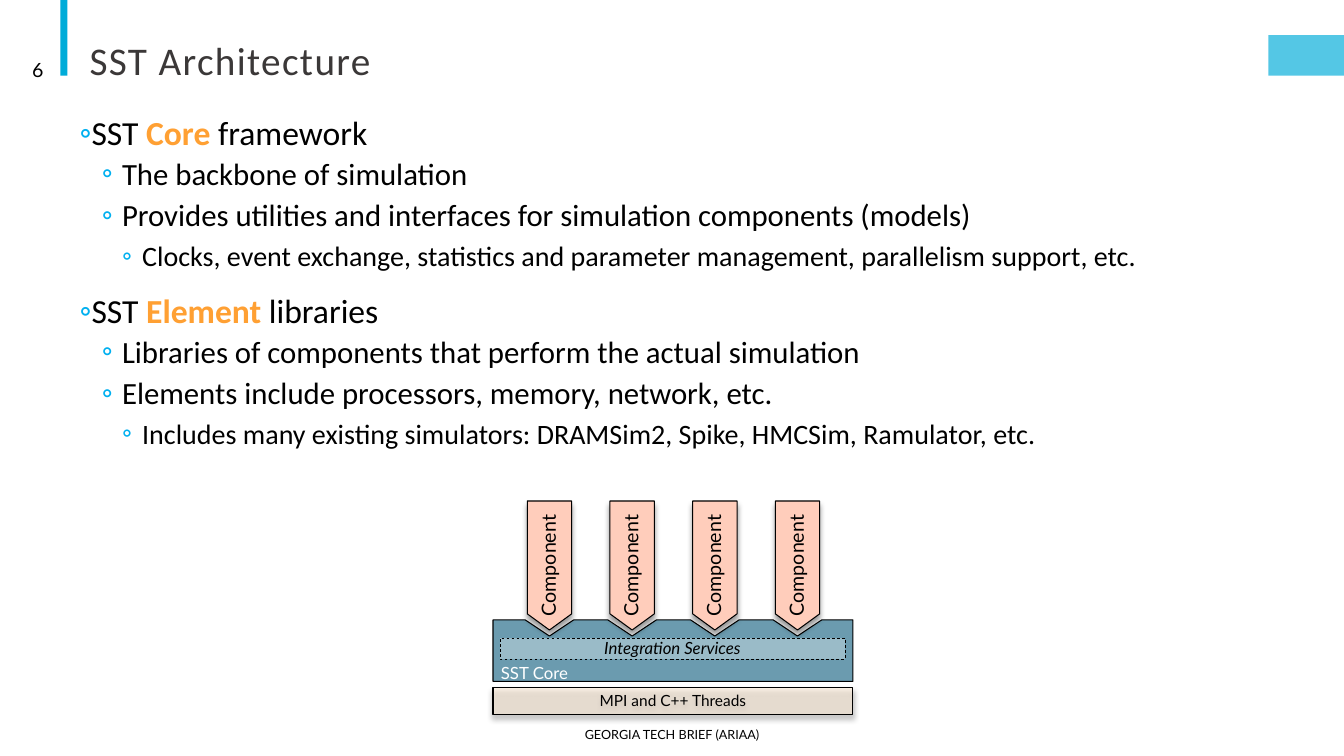
"""Build the SST Architecture slide."""
import lxml.etree
import pptx
import pptx.dml.color
import pptx.enum.dml
import pptx.enum.shapes
import pptx.enum.text
import pptx.oxml.ns
import pptx.util

Inches = pptx.util.Inches
Pt = pptx.util.Pt
RGBColor = pptx.dml.color.RGBColor
ALIGN = pptx.enum.text.PP_ALIGN
ANCHOR = pptx.enum.text.MSO_ANCHOR
RECTANGLE = pptx.enum.shapes.MSO_SHAPE.RECTANGLE
DASH = pptx.enum.dml.MSO_LINE.DASH
qn = pptx.oxml.ns.qn

BLACK = RGBColor(0x00, 0x00, 0x00)
WHITE = RGBColor(0xFF, 0xFF, 0xFF)
CHARCOAL = RGBColor(0x3B, 0x38, 0x38)
CYAN = RGBColor(0x00, 0xAC, 0xD9)
BULLET_BLUE = RGBColor(0x00, 0xB0, 0xF0)
ORANGE = RGBColor(0xFF, 0xA0, 0x33)
NAVY = RGBColor(0x00, 0x53, 0x76)
CREAM = RGBColor(0xFF, 0xEC, 0xD6)
PEACH = RGBColor(0xFF, 0xCD, 0xBB)

CORE_LEFT, CORE_TOP, CORE_RIGHT, CORE_BOTTOM = 4.89, 6.15, 8.46, 6.76
COMPONENT_CENTRES = [5.45 + 0.82 * index for index in range(4)]

LEVELS = [
    {"size": 24, "indent": 0.1, "before": 12, "after": 2},
    {"size": 22, "indent": 0.42, "before": 2, "after": 4},
    {"size": 20, "indent": 0.62, "before": 2, "after": 4},
]
OUTLINE = [
    (0, ["SST ", "Core", " framework"]),
    (1, ["The backbone of simulation"]),
    (1, ["Provides utilities and interfaces for simulation components (models)"]),
    (2, ["Clocks, event exchange, statistics and parameter management, parallelism support, etc."]),
    (0, ["SST ", "Element", " libraries"]),
    (1, ["Libraries of components that perform the actual simulation"]),
    (1, ["Elements include processors, memory, network, etc."]),
    (2, ["Includes many existing simulators: DRAMSim2, Spike, HMCSim, Ramulator, etc."]),
]


def set_attributes(target, formats):
    """Set every attribute named in a dict of format values."""
    for name, value in formats.items():
        setattr(target, name, value)


def add_run(paragraph, text, size, color=BLACK, font_name="Lato", **formats):
    """Add a run of formatted text to a paragraph."""
    run = paragraph.add_run()
    run.text = text
    set_attributes(run.font, {"name": font_name, "size": Pt(size), **formats})
    run.font.color.rgb = color
    return run


def prepare_frame(shape, anchor=ANCHOR.MIDDLE, margins=(0.1, 0.05)):
    """Set wrapping, anchor and margins, and return the text frame."""
    side, end = (Inches(margin) for margin in margins)
    set_attributes(shape.text_frame, {
        "word_wrap": True, "vertical_anchor": anchor,
        "margin_left": side, "margin_right": side,
        "margin_top": end, "margin_bottom": end,
    })
    return shape.text_frame


def write_label(shape, text, size, align=ALIGN.CENTER, spacing=0.9,
                anchor=ANCHOR.MIDDLE, margins=(0.1, 0.05), **formats):
    """Write a single line of text into a shape."""
    paragraph = prepare_frame(shape, anchor, margins).paragraphs[0]
    set_attributes(paragraph, {"alignment": align, "line_spacing": spacing})
    return add_run(paragraph, text, size, **formats)


def add_text_box(slide, box):
    """Add an empty text box from left, top, width and height."""
    return slide.shapes.add_textbox(*map(Inches, box))


def style_shape(shape, fill, opacity=100, line_width=0, dash=None, shadow=False):
    """Apply fill, opacity, outline and an optional soft shadow."""
    shape.shadow.inherit = False
    shape.fill.solid()
    shape.fill.fore_color.rgb = fill
    properties = shape._element.spPr
    if opacity < 100:
        color = properties.find(qn("a:solidFill")).find(qn("a:srgbClr"))
        lxml.etree.SubElement(color, qn("a:alpha"), val=str(opacity * 1000))
    if line_width:
        shape.line.color.rgb = BLACK
        set_attributes(shape.line, {"width": Pt(line_width), "dash_style": dash})
    else:
        shape.line.fill.background()
    if shadow:
        outer = lxml.etree.SubElement(
            properties.find(qn("a:effectLst")), qn("a:outerShdw"),
            blurRad=str(Pt(4)), dist=str(Pt(3)), dir="5400000", rotWithShape="0")
        color = lxml.etree.SubElement(outer, qn("a:srgbClr"), val=str(BLACK))
        lxml.etree.SubElement(color, qn("a:alpha"), val="40000")


def add_rectangle(slide, box, fill, **style):
    """Add a styled rectangle."""
    shape = slide.shapes.add_shape(RECTANGLE, *map(Inches, box))
    style_shape(shape, fill, **style)
    return shape


def add_polygon(slide, points, fill, **style):
    """Add a styled closed outline through points in inches."""
    corners = [(Inches(x), Inches(y)) for x, y in points]
    builder = slide.shapes.build_freeform(*corners[0])
    builder.add_line_segments(corners[1:], close=True)
    shape = builder.convert_to_shape()
    style_shape(shape, fill, **style)
    return shape


def add_bullet(paragraph, indent):
    """Give a paragraph a hanging blue ring bullet."""
    properties = paragraph._p.get_or_add_pPr()
    properties.set("marL", str(Inches(indent)))
    properties.set("indent", str(Inches(-0.2)))
    color = lxml.etree.SubElement(properties, qn("a:buClr"))
    lxml.etree.SubElement(color, qn("a:srgbClr"), val=str(BULLET_BLUE))
    lxml.etree.SubElement(properties, qn("a:buFont"), typeface="Calibri")
    lxml.etree.SubElement(properties, qn("a:buChar"), char="◦")


def add_outline(slide):
    """Add the bulleted body text."""
    frame = prepare_frame(add_text_box(slide, (0.79, 1.11, 12.05, 5.56)),
                          ANCHOR.TOP, (0, 0.05))
    for index, (level, texts) in enumerate(OUTLINE):
        paragraph = frame.add_paragraph() if index else frame.paragraphs[0]
        style = LEVELS[level]
        add_bullet(paragraph, style["indent"])
        set_attributes(paragraph, {
            "level": level, "line_spacing": 0.9,
            "space_before": Pt(style["before"] if index else 0),
            "space_after": Pt(style["after"]),
        })
        for position, text in enumerate(texts):
            keyword = position == 1
            add_run(paragraph, text, style["size"], ORANGE if keyword else BLACK,
                    "Calibri", bold=keyword)


def add_core(slide):
    """Add the notched core block with its services and thread layers."""
    points = [(CORE_LEFT, CORE_TOP)]
    for centre in COMPONENT_CENTRES:
        points += [(centre - 0.24, CORE_TOP), (centre, CORE_TOP + 0.16),
                   (centre + 0.24, CORE_TOP)]
    points += [(CORE_RIGHT, CORE_TOP), (CORE_RIGHT, CORE_BOTTOM), (CORE_LEFT, CORE_BOTTOM)]
    add_polygon(slide, points, NAVY, opacity=58, line_width=0.75)
    services = add_rectangle(slide, (4.96, 6.33, 3.42, 0.21), WHITE,
                             opacity=32, line_width=0.5, dash=DASH)
    write_label(services, "Integration Services", 12, margins=(0.2, 0), italic=True)
    threads = add_rectangle(slide, (CORE_LEFT, 6.82, CORE_RIGHT - CORE_LEFT, 0.27), CREAM,
                            opacity=53, line_width=0.75, shadow=True)
    write_label(threads, "MPI and C++ Threads", 11, margins=(0.05, 0))


def add_component(slide, centre):
    """Add a component arrow that points down into the core."""
    left, right = centre - 0.22, centre + 0.22
    points = [(left, 4.97), (right, 4.97), (right, 6.09), (centre, 6.25), (left, 6.09)]
    shape = add_polygon(slide, points, PEACH, line_width=0.75, shadow=True)
    write_label(shape, "Component", 14, margins=(0.1, 0.1))
    shape.text_frame._txBody.bodyPr.set("vert", "vert270")


def main():
    """Build and save the slide."""
    presentation = pptx.Presentation()
    set_attributes(presentation, {"slide_width": Inches(13.33), "slide_height": Inches(7.5)})
    slide = presentation.slides.add_slide(presentation.slide_layouts[6])
    add_rectangle(slide, (0.6, 0, 0.07, 0.75), CYAN)
    add_rectangle(slide, (12.58, 0.35, 0.75, 0.4), CYAN, opacity=67)
    title = write_label(add_text_box(slide, (0.79, 0.26, 11, 0.62)), "SST Architecture", 28,
                        ALIGN.LEFT, 0.85, ANCHOR.BOTTOM, color=CHARCOAL, font_name="Calibri")
    title._r.get_or_add_rPr().set("spc", "100")
    write_label(add_text_box(slide, (0.07, 0.49, 0.46, 0.4)), "6", 14, ALIGN.RIGHT, 1)
    add_outline(slide)
    write_label(add_text_box(slide, (4.03, 7.09, 5.27, 0.4)),
                "GEORGIA TECH BRIEF (ARIAA)", 9, spacing=1)
    add_core(slide)
    for centre in COMPONENT_CENTRES:
        add_component(slide, centre)
    write_label(add_text_box(slide, (4.87, 6.55, 1.1, 0.28)), "SST Core", 12,
                ALIGN.LEFT, anchor=ANCHOR.TOP, color=WHITE)
    presentation.save("out.pptx")


if __name__ == "__main__":
    main()
